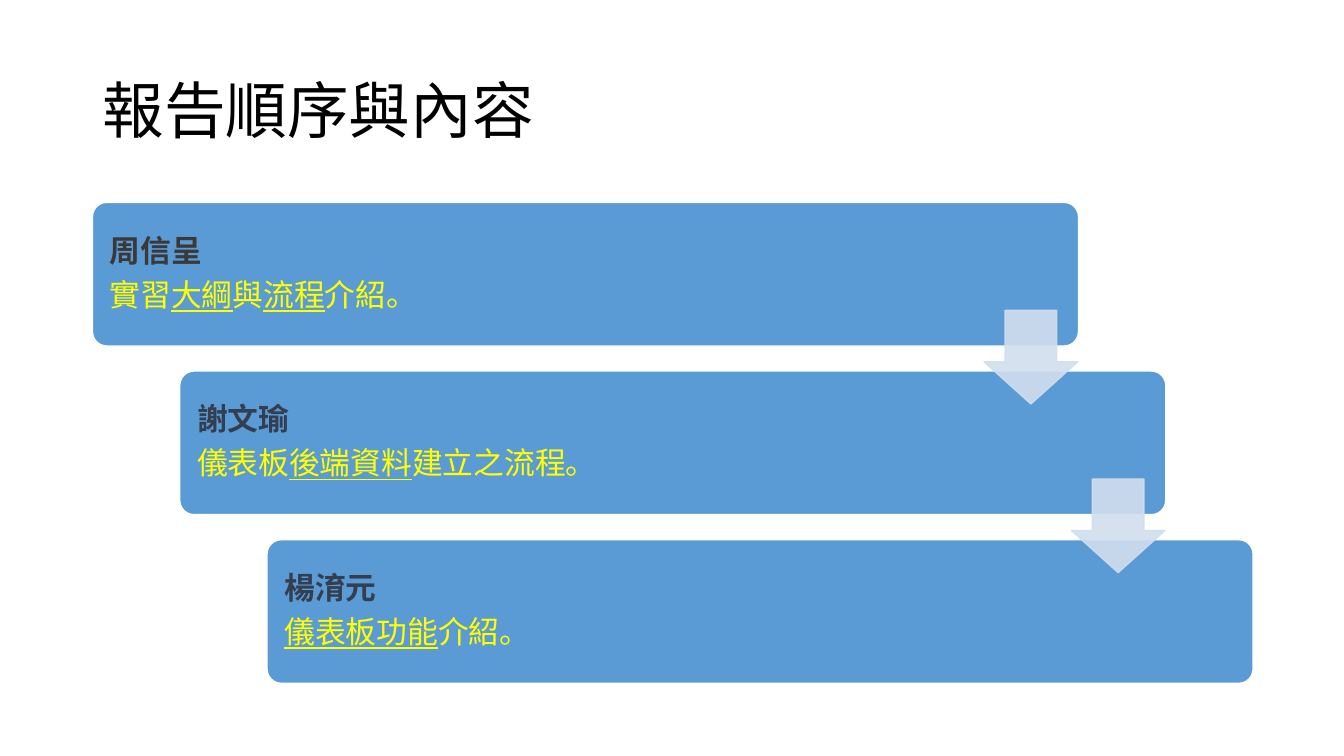
from lxml import etree
from pptx import Presentation
from pptx import util as u
from pptx.dml.color import RGBColor
from pptx.enum import shapes, text
from pptx.oxml import ns

FONT = "Noto Sans CJK SC"
COLORS = {"title": "000000", "box": "5B9BD5", "edge": "FFFFFF", "arrow": "D2DEEF",
          "first": "3B3838", "name": "333F50", "topic": "FFFF00"}
STEP_X, STEP_Y = 2.2, 4.25
FRAME = {"word_wrap": True, "vertical_anchor": text.MSO_ANCHOR.MIDDLE,
         "margin_left": u.Cm(0.33), "margin_right": u.Cm(0.33),
         "margin_top": u.Cm(0.33), "margin_bottom": u.Cm(0.33)}
PARAGRAPH = {"alignment": text.PP_ALIGN.LEFT, "line_spacing": 0.9,
             "space_before": u.Pt(0), "space_after": u.Pt(0)}
REPORTS = [
    ("周信呈", "first", [("實習", False), ("大綱", True), ("與", False),
                       ("流程", True), ("介紹。", False)]),
    ("謝文瑜", "name", [("儀表板", False), ("後端資料", True), ("建立之流程。", False)]),
    ("楊淯元", "name", [("儀表板功能", True), ("介紹。", False)]),
]


def add_run(p, words, color, **formats):
    r = p.add_run()
    r.text = words
    for key, value in {"name": FONT, **formats}.items():
        setattr(r.font, key, value)
    r.font.color.rgb = RGBColor.from_string(COLORS[color])
    etree.SubElement(r.font._element, ns.qn("a:ea"), typeface=FONT)


def add_block(s, kind, place, adjustments, fill, line):
    sp = s.shapes.add_shape(kind, *[u.Cm(v) for v in place])
    sp.shadow.inherit = False
    for i, value in enumerate(adjustments):
        sp.adjustments[i] = value
    sp.fill.solid()
    sp.fill.fore_color.rgb = RGBColor.from_string(COLORS[fill])
    sp.line.color.rgb = RGBColor.from_string(COLORS[line])
    sp.line.width = u.Pt(1)
    return sp


prs = Presentation()
prs.slide_width, prs.slide_height = u.Cm(33.87), u.Cm(19.05)
s = prs.slides.add_slide(prs.slide_layouts[5])

title = s.shapes.title
for key, value in {"left": 2.33, "top": 1.01, "width": 29.21, "height": 3.68}.items():
    setattr(title, key, u.Cm(value))
title.text_frame.vertical_anchor = text.MSO_ANCHOR.MIDDLE
p = title.text_frame.paragraphs[0]
p.alignment = text.PP_ALIGN.LEFT
p.line_spacing = 0.9
add_run(p, "報告順序與內容", "title", size=u.Pt(44))

for i, (name, name_color, topic) in enumerate(REPORTS):
    box = add_block(s, shapes.MSO_SHAPE.ROUNDED_RECTANGLE,
                    (2.33 + i * STEP_X, 5.1 + i * STEP_Y, 24.85, 3.62),
                    [0.1], "box", "edge")
    tf = box.text_frame
    for key, value in FRAME.items():
        setattr(tf, key, value)
    lines = [tf.paragraphs[0], tf.add_paragraph()]
    for p in lines:
        for key, value in PARAGRAPH.items():
            setattr(p, key, value)
        after = p._p.pPr.find(ns.qn("a:spcAft"))
        after.remove(after[0])
        etree.SubElement(after, ns.qn("a:spcPct"), val="35000")
    add_run(lines[0], name, name_color, size=u.Pt(22), bold=True)
    for words, underlined in topic:
        add_run(lines[1], words, "topic", size=u.Pt(22), bold=False, underline=underlined)

for i in range(len(REPORTS) - 1):
    arrow = add_block(s, shapes.MSO_SHAPE.DOWN_ARROW,
                      (24.8 + i * STEP_X, 7.82 + i * STEP_Y, 2.36, 2.36),
                      [0.55, 0.45], "arrow", "arrow")
    for color in arrow._element.spPr.iter(ns.qn("a:srgbClr")):
        etree.SubElement(color, ns.qn("a:alpha"), val="90000")

prs.save("out.pptx")
